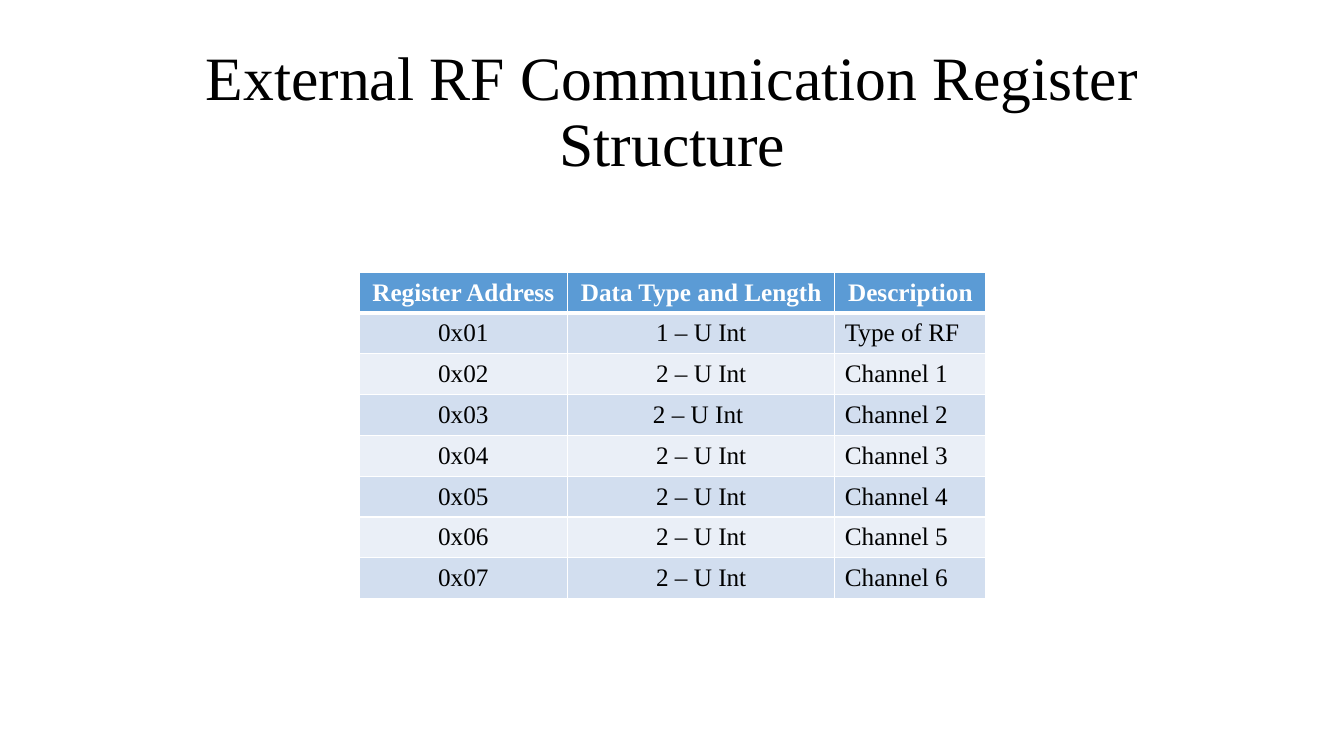
"""Build a slide with the register table for external RF communication."""
from lxml import etree
from pptx import Presentation
from pptx.dml.color import RGBColor
from pptx.enum.text import MSO_ANCHOR, PP_ALIGN
from pptx.oxml.ns import qn
from pptx.util import Inches, Pt

CENTER, LEFT = PP_ALIGN.CENTER, PP_ALIGN.LEFT
MIDDLE = MSO_ANCHOR.MIDDLE
FONT = "Times New Roman"
BLACK = RGBColor(0x00, 0x00, 0x00)
WHITE = RGBColor(0xFF, 0xFF, 0xFF)
HEADER_BLUE = RGBColor(0x5B, 0x9B, 0xD5)
BAND_DARK = RGBColor(0xD2, 0xDE, 0xEF)
BAND_LIGHT = RGBColor(0xEA, 0xEF, 0xF7)

COLUMN_WIDTHS = [2.07, 2.65, 1.5]
ROW_HEIGHT = 0.405
REGISTERS = [
    ("Register Address", "Data Type and Length", "Description"),
    ("0x01", "1 – U Int", "Type of RF"),
    ("0x02", "2 – U Int", "Channel 1"),
    ("0x03", "2 – U Int ", "Channel 2"),
    ("0x04", "2 – U Int", "Channel 3"),
    ("0x05", "2 – U Int", "Channel 4"),
    ("0x06", "2 – U Int", "Channel 5"),
    ("0x07", "2 – U Int", "Channel 6"),
]


def add_text(paragraph, text, size, color, alignment, bold=False):
    """Add one formatted run to an aligned paragraph."""
    paragraph.alignment = alignment
    run = paragraph.add_run()
    run.text = text
    run.font.name = FONT
    run.font.size = Pt(size)
    run.font.bold = bold
    run.font.color.rgb = color


def add_border(cell, side, width):
    """Draw a solid white border on one side of a cell."""
    properties = cell._tc.get_or_add_tcPr()
    line = etree.SubElement(properties, qn(f"a:{side}"), w=str(Pt(width)))
    fill = etree.SubElement(line, qn("a:solidFill"))
    etree.SubElement(fill, qn("a:srgbClr"), val=str(WHITE))


presentation = Presentation()
presentation.slide_width = Inches(13.33)
presentation.slide_height = Inches(7.5)
slide = presentation.slides.add_slide(presentation.slide_layouts[6])

title = slide.shapes.add_textbox(Inches(0.92), Inches(0.4), Inches(11.5), Inches(1.45))
title.text_frame.word_wrap = True
title.text_frame.vertical_anchor = MIDDLE
title_paragraph = title.text_frame.paragraphs[0]
title_paragraph.line_spacing = 0.9
add_text(title_paragraph, "External RF Communication Register Structure", 44, BLACK, CENTER)

table = slide.shapes.add_table(
    len(REGISTERS), len(COLUMN_WIDTHS), Inches(3.56), Inches(2.7),
    Inches(sum(COLUMN_WIDTHS)), Inches(ROW_HEIGHT * len(REGISTERS)),
).table
for column, width in zip(table.columns, COLUMN_WIDTHS):
    column.width = Inches(width)

for row_index, register in enumerate(REGISTERS):
    table.rows[row_index].height = Inches(ROW_HEIGHT)
    is_header = row_index == 0
    band = BAND_DARK if row_index % 2 else BAND_LIGHT
    for column_index, text in enumerate(register):
        cell = table.cell(row_index, column_index)
        cell.vertical_anchor = MIDDLE
        add_border(cell, "lnL", 1)
        add_border(cell, "lnR", 1)
        add_border(cell, "lnT", 3 if row_index == 1 else 1)
        add_border(cell, "lnB", 3 if is_header else 1)
        cell.fill.solid()
        cell.fill.fore_color.rgb = HEADER_BLUE if is_header else band
        alignment = CENTER if is_header or column_index < 2 else LEFT
        color = WHITE if is_header else BLACK
        add_text(cell.text_frame.paragraphs[0], text, 18, color, alignment, is_header)

presentation.save("out.pptx")
